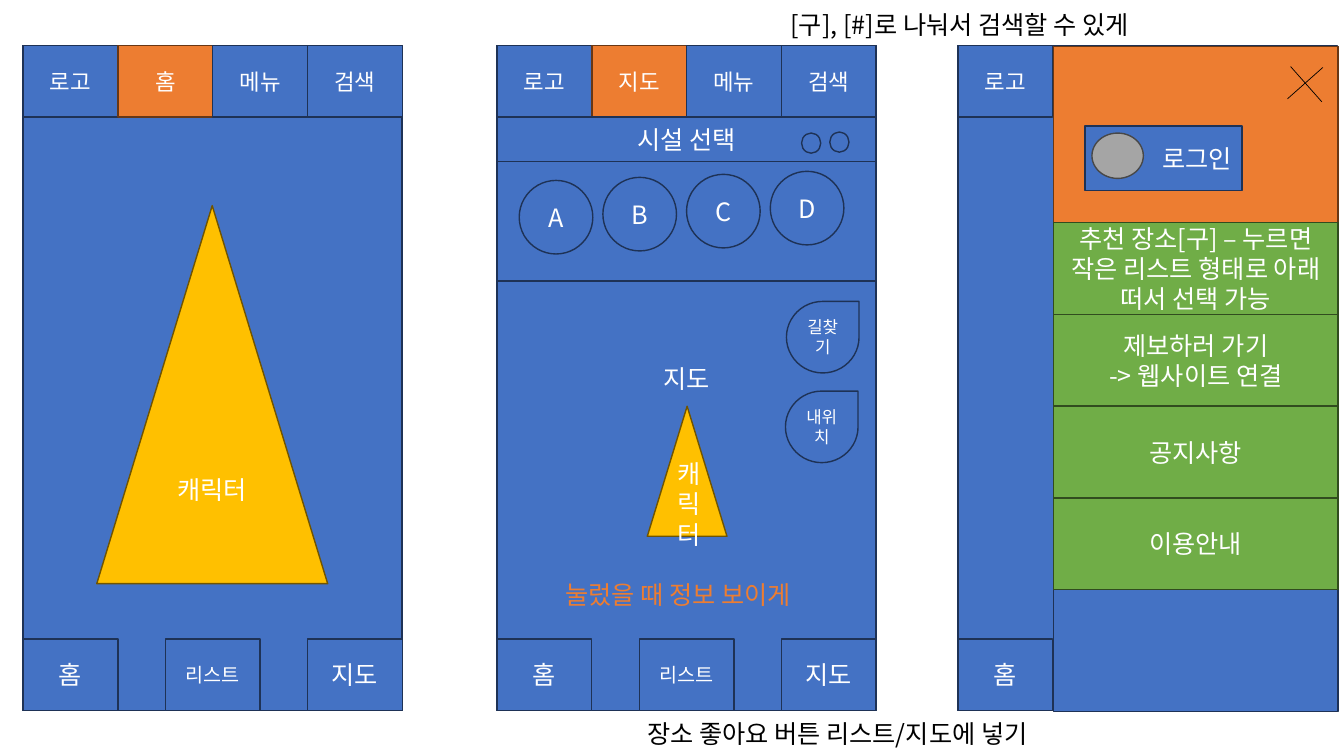
from lxml import etree
from pptx import Presentation
from pptx import util as u
from pptx.dml.color import RGBColor
from pptx.enum import shapes, text
from pptx.oxml import ns

PX = 9144
FONT = "Noto Sans CJK KR"
BLUE = RGBColor(0x44, 0x72, 0xC4)
ORANGE = RGBColor(0xED, 0x7D, 0x31)
GREEN = RGBColor(0x70, 0xAD, 0x47)
GOLD = RGBColor(0xFF, 0xC0, 0x00)
GRAY = RGBColor(0xA5, 0xA5, 0xA5)
WHITE = RGBColor(0xFF, 0xFF, 0xFF)
BLACK = RGBColor(0x00, 0x00, 0x00)
EDGES = {
    BLUE: RGBColor(0x1E, 0x32, 0x56),
    ORANGE: RGBColor(0x68, 0x37, 0x15),
    GREEN: RGBColor(0x31, 0x4C, 0x1F),
    GOLD: RGBColor(0x70, 0x54, 0x00),
    GRAY: RGBColor(0x48, 0x48, 0x48),
}
KIND = shapes.MSO_SHAPE
ALIGN = text.PP_ALIGN
PHONE_TOP, PHONE_WIDTH, PHONE_HEIGHT = 45, 376, 660
TAB_WIDTH, TAB_HEIGHT = 94, 71
FOOTER_TOP = 634


def px(*lengths):
    return [length * PX for length in lengths]


def write(box, words, size, color, align):
    frame = box.text_frame
    frame.text = words
    for para in frame.paragraphs:
        para.alignment = align
        for span in para.runs:
            span.font.size = u.Pt(size)
            span.font.name = FONT
            span.font.color.rgb = color
            east_asian = etree.SubElement(span._r.get_or_add_rPr(), ns.qn("a:ea"))
            east_asian.set("typeface", FONT)


def add_block(canvas, place, words="", size=18, fill=BLUE, kind=KIND.RECTANGLE,
              align=ALIGN.CENTER):
    box = canvas.add_shape(kind, *px(*place))
    box.shadow.inherit = False
    box.fill.solid()
    box.fill.fore_color.rgb = fill
    box.line.color.rgb = EDGES[fill]
    box.line.width = u.Pt(1)
    if words:
        box.text_frame.vertical_anchor = text.MSO_ANCHOR.MIDDLE
        write(box, words, size, WHITE, align)


def add_note(canvas, place, words, color=BLACK):
    box = canvas.add_textbox(*px(*place))
    box.text_frame.word_wrap = False
    box.text_frame.auto_size = text.MSO_AUTO_SIZE.SHAPE_TO_FIT_TEXT
    write(box, words, 18, color, ALIGN.LEFT)


def add_stroke(canvas, ends):
    stroke = canvas.add_connector(shapes.MSO_CONNECTOR.STRAIGHT, *px(*ends))
    stroke.line.color.rgb = BLACK
    stroke.line.width = u.Pt(0.5)
    etree.SubElement(stroke._element.spPr, ns.qn("a:effectLst"))


def add_phone(canvas, left, tabs, buttons, active=None, words=""):
    add_block(canvas, (left, PHONE_TOP, PHONE_WIDTH, PHONE_HEIGHT), words)
    for column, label in enumerate(tabs):
        add_block(canvas, (left + column * TAB_WIDTH, PHONE_TOP, TAB_WIDTH, TAB_HEIGHT),
                  label, 16, ORANGE if column == active else BLUE)
    for index, (label, size) in enumerate(buttons):
        add_block(canvas, (left + index * 141, FOOTER_TOP, TAB_WIDTH, TAB_HEIGHT), label, size)


def add_facility_picker(canvas, left):
    group = canvas.add_group_shape().shapes
    add_block(group, (left, 132, PHONE_WIDTH, 147))
    add_block(group, (left, 116, PHONE_WIDTH, 44), "시설 선택")
    for index, letter in enumerate("ABCD"):
        add_block(group, (left + 22 + index * 83, 179 - index * 3, 73, 73), letter, kind=KIND.OVAL)
    for index in range(2):
        add_block(group, (795 + index * 28, 132 - index, 19, 20),
                  kind=KIND.FLOWCHART_CONNECTOR)


def add_side_menu(canvas, left, top, width):
    add_block(canvas, (left, top, width, PHONE_HEIGHT))
    add_block(canvas, (left, top, width, 175), fill=ORANGE)
    add_stroke(canvas, (1280, 66, 1311, 101))
    add_stroke(canvas, (1312, 67, 1277, 98))
    add_block(canvas, (1076, 125, 156, 64), "로그인", align=ALIGN.RIGHT)
    add_block(canvas, (1083, 132, 51, 45), fill=GRAY, kind=KIND.FLOWCHART_CONNECTOR)
    entries = (
        "추천 장소[구] – 누르면 작은 리스트 형태로 아래 떠서 선택 가능",
        "제보하러 가기\n-> 웹사이트 연결",
        "공지사항",
        "이용안내",
    )
    for row, entry in enumerate(entries):
        add_block(canvas, (left, 221 + row * 91, width, 91), entry, fill=GREEN)


def main():
    deck = Presentation()
    deck.slide_width, deck.slide_height = px(1333, 750)
    page = deck.slides.add_slide(deck.slide_layouts[6])
    canvas = page.shapes
    footer = (("홈", 18), ("리스트", 14), ("지도", 18))

    add_phone(canvas, 23, ("로고", "홈", "메뉴", "검색"), footer, 1)
    add_block(canvas, (96, 204, 229, 375), "캐릭터", fill=GOLD, kind=KIND.ISOSCELES_TRIANGLE)

    add_phone(canvas, 493, ("로고", "지도", "메뉴", "검색"), footer, 1, "지도")
    add_facility_picker(canvas, 493)
    add_block(canvas, (642, 403, 79, 129), "캐릭터", fill=GOLD, kind=KIND.ISOSCELES_TRIANGLE)
    for row, label in enumerate(("길찾기", "내위치")):
        add_block(canvas, (780 - row, 299 + row * 89, 72, 71), label, 12, kind=KIND.TEAR)

    add_phone(canvas, 950, ("로고",), footer[:1])
    add_side_menu(canvas, 1045, 46, 282)

    add_note(canvas, (774, 4, 394, 40), "[구], [#]로 나눠서 검색할 수 있게")
    add_note(canvas, (551, 570, 274, 40), "눌렀을 때 정보 보이게", ORANGE)
    add_note(canvas, (632, 708, 445, 40), "장소 좋아요 버튼 리스트/지도에 넣기")
    deck.save("out.pptx")


if __name__ == "__main__":
    main()
